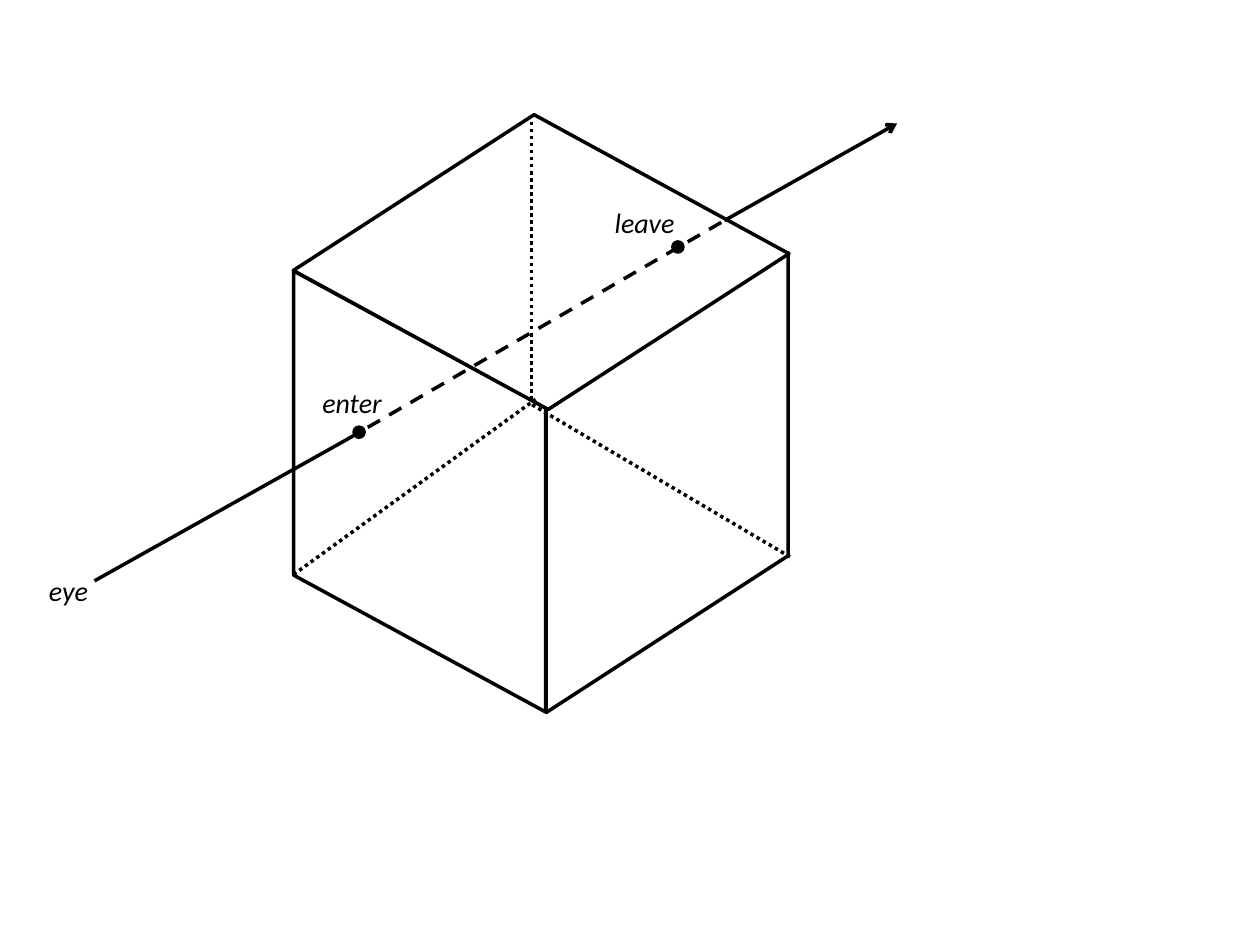
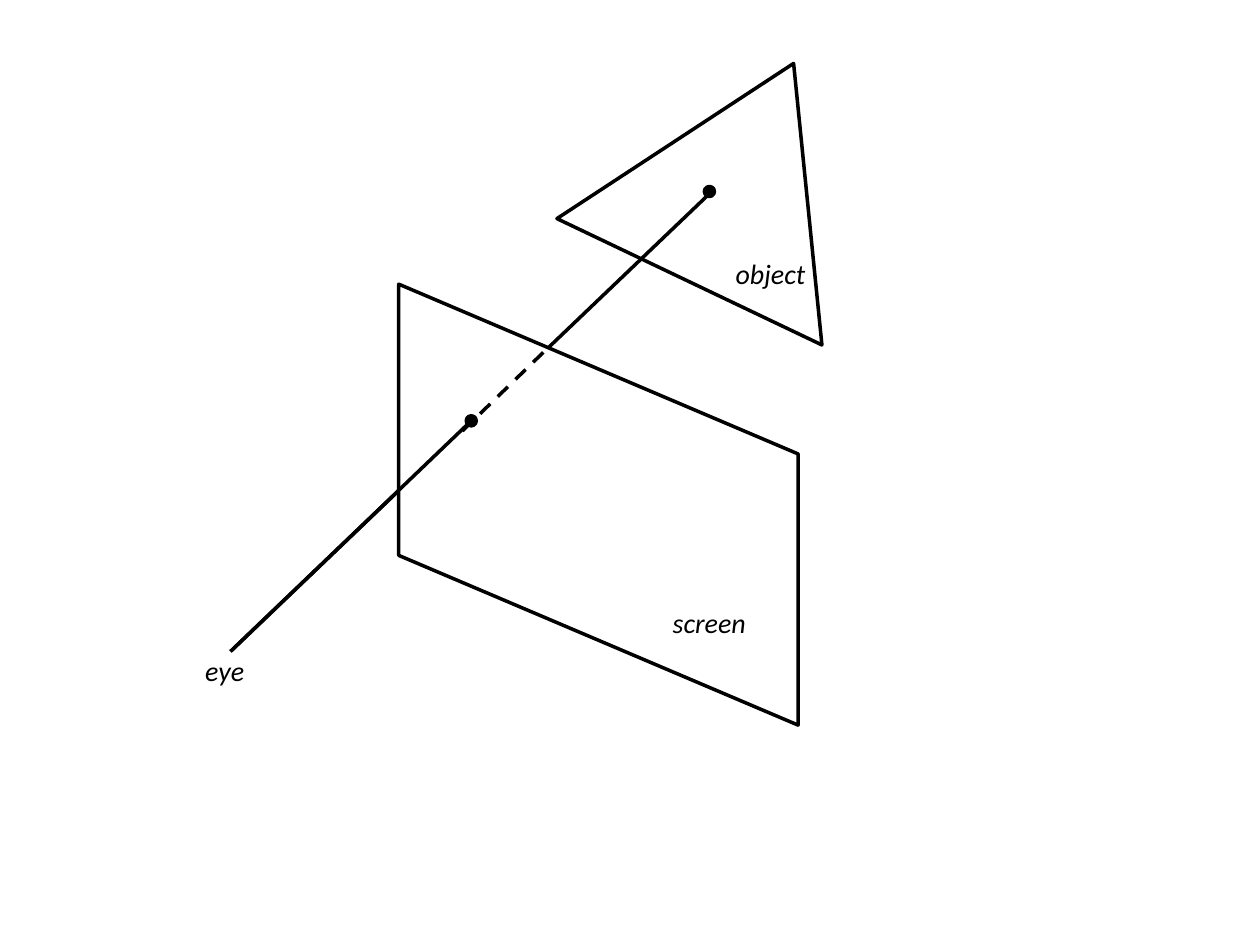
import dataclasses

import lxml.etree
import pptx
import pptx.dml.color
import pptx.enum.dml
import pptx.enum.shapes
import pptx.enum.text
import pptx.oxml.ns
import pptx.util

PX = 9144  # EMU in one px, at 100 px to the inch
SHAPE = pptx.enum.shapes.MSO_SHAPE
DASH = pptx.enum.dml.MSO_LINE.DASH
DOTS = pptx.enum.dml.MSO_LINE.ROUND_DOT
qn = pptx.oxml.ns.qn


@dataclasses.dataclass(frozen=True)
class Theme:
    ink: str = "000000"
    paper: str = "FFFFFF"
    font: str = "Calibri"
    label_size: int = 16
    stroke: int = 2
    dot: int = 8
    label_height: int = 37


THEME = Theme()


def color(code):
    return pptx.dml.color.RGBColor.from_string(code)


@dataclasses.dataclass
class Region:
    """A part of a page; every position is counted from its left top corner."""
    page: object
    left: int
    top: int

    def x(self, px):
        return (self.left + px) * PX

    def y(self, px):
        return (self.top + px) * PX

    def stroke(self, line):
        line.color.rgb = color(THEME.ink)
        line.width = pptx.util.Pt(THEME.stroke)

    def shape(self, kind, box, fill=THEME.paper, turn=0, slant=None, flip=False):
        left, top, width, height = box
        shape = self.page.shapes.add_shape(
            kind, self.x(left), self.y(top), width * PX, height * PX)
        shape.shadow.inherit = False
        shape.fill.solid()
        shape.fill.fore_color.rgb = color(fill)
        self.stroke(shape.line)
        shape.rotation = turn
        if slant is not None:
            shape.adjustments[0] = slant
        if flip:
            shape.element.spPr.find(qn("a:xfrm")).set("flipV", "1")

    def dot(self, left, top):
        self.shape(SHAPE.OVAL, (left, top, THEME.dot, THEME.dot), fill=THEME.ink)

    def line(self, start, end, dash=None, arrow=False):
        line = self.page.shapes.add_connector(
            pptx.enum.shapes.MSO_CONNECTOR.STRAIGHT,
            self.x(start[0]), self.y(start[1]), self.x(end[0]), self.y(end[1]))
        self.stroke(line.line)
        if dash is not None:
            line.line.dash_style = dash
        properties = line.element.spPr
        if arrow:
            outline = properties.find(qn("a:ln"))
            lxml.etree.SubElement(outline, qn("a:tailEnd"), type="arrow")
        lxml.etree.SubElement(properties, qn("a:effectLst"))

    def label(self, text, left, top, width):
        box = self.page.shapes.add_textbox(
            self.x(left), self.y(top), width * PX, THEME.label_height * PX)
        frame = box.text_frame
        frame.word_wrap = False
        frame.auto_size = pptx.enum.text.MSO_AUTO_SIZE.SHAPE_TO_FIT_TEXT
        span = frame.paragraphs[0].add_run()
        span.text = text
        span.font.name = THEME.font
        span.font.size = pptx.util.Pt(THEME.label_size)
        span.font.italic = True
        span.font.color.rgb = color(THEME.ink)


def draw_cube(region):
    """Three faces, then the three hidden edges that meet at the back."""
    face = SHAPE.PARALLELOGRAM
    region.shape(face, (-72, 200, 350, 200), turn=270, slant=0.543)
    region.shape(face, (117, 197, 365, 192), turn=270, slant=0.648, flip=True)
    region.shape(face, (30, 18, 339, 200), turn=208.6, slant=0.543)
    region.line((192, 1), (192, 227), DOTS)
    region.line((3, 366), (195, 227), DOTS)
    region.line((397, 352), (192, 231), DOTS)


def draw_cube_ray(region):
    eye, inside, outside, tip = (46, 371), (246, 259), (546, 85), (683, 8)
    region.line(inside, outside, DASH)
    region.line(eye, inside)
    region.line(outside, tip, arrow=True)
    region.dot(252, 249)
    region.dot(505, 102)
    region.label("enter", 217, 211, 68)
    region.label("leave", 449, 68, 68)
    region.label("eye", 0, 360, 51)


def draw_screen(region):
    region.shape(SHAPE.PARALLELOGRAM, (-17, 16, 350, 317), turn=270, slant=0.425)
    region.line((50, 116), (118, 50), DASH)
    region.label("screen", 207, 250, 79)


def draw_object(region):
    region.shape(SHAPE.ISOSCELES_TRIANGLE, (0, 0, 233, 192), turn=25.5)
    region.dot(87, 107)
    region.label("object", 102, 158, 76)


def draw_projection(page):
    """The sight line passes over the object and behind the screen."""
    sight = Region(page, 153, 150)
    eye = (30, 367)
    draw_object(Region(page, 472, 41))
    sight.line(eye, (414, 0))
    draw_screen(Region(page, 317, 226))
    sight.line(eye, (222, 183))
    sight.dot(217, 180)
    sight.label("eye", 0, 364, 51)


def add_page(deck):
    page = deck.slides.add_slide(deck.slide_layouts[6])
    page.background.fill.solid()
    page.background.fill.fore_color.rgb = color(THEME.paper)
    return page


def main():
    deck = pptx.Presentation()
    deck.slide_width, deck.slide_height = 1000 * PX, 750 * PX
    cube_page = add_page(deck)
    draw_cube(Region(cube_page, 230, 90))
    draw_cube_ray(Region(cube_page, 29, 90))
    draw_projection(add_page(deck))
    deck.save("out.pptx")


if __name__ == "__main__":
    main()
